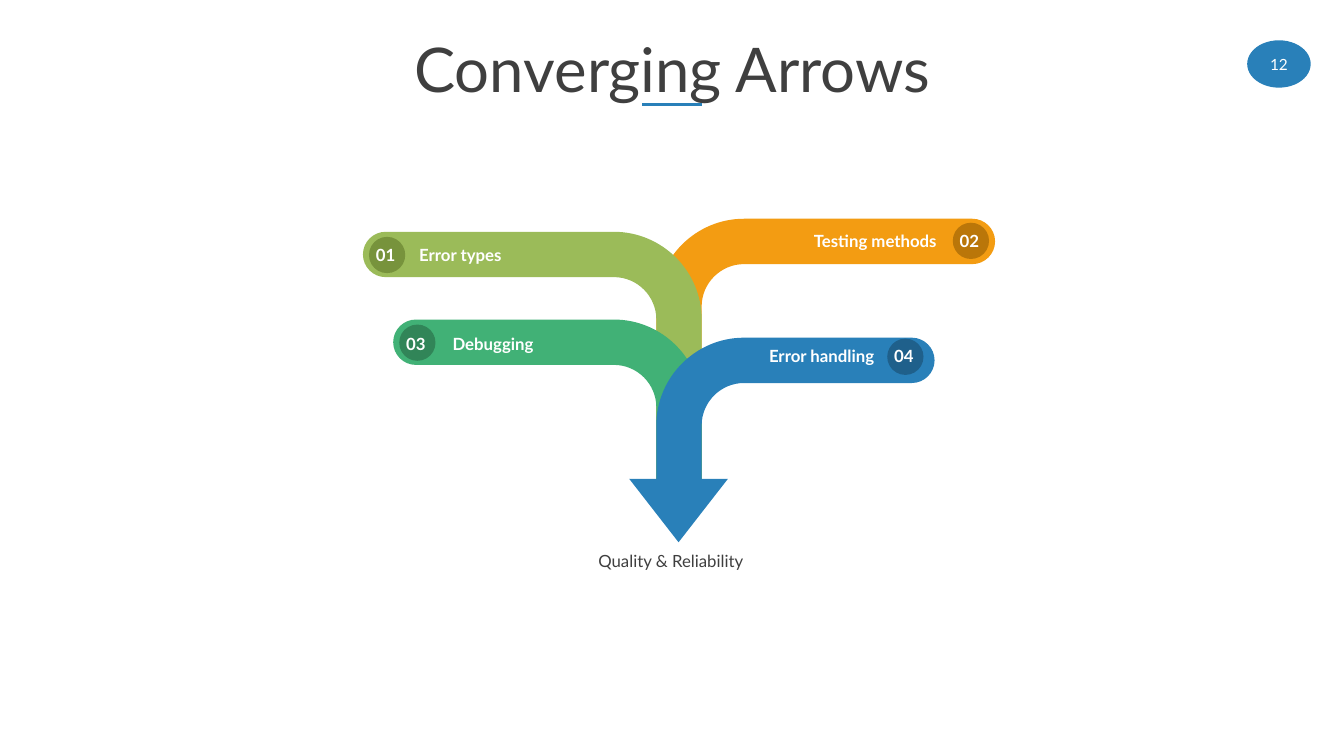
from lxml import etree
from pptx import Presentation
from pptx.dml.color import RGBColor
from pptx.enum import shapes, text
from pptx.oxml import ns
from pptx.util import Inches, Pt

WHITE = RGBColor(0xFF, 0xFF, 0xFF)
INK = RGBColor(0x3F, 0x3F, 0x3F)
BLUE, DARK_BLUE = RGBColor(0x29, 0x80, 0xB9), RGBColor(0x1F, 0x60, 0x8B)
ORANGE, DARK_ORANGE = RGBColor(0xF3, 0x9C, 0x12), RGBColor(0xBA, 0x76, 0x09)
OLIVE, DARK_OLIVE = RGBColor(0x9B, 0xBB, 0x59), RGBColor(0x77, 0x93, 0x3C)
GREEN, DARK_GREEN = RGBColor(0x41, 0xB1, 0x76), RGBColor(0x31, 0x85, 0x58)
LEFT, CENTER, RIGHT = text.PP_ALIGN.LEFT, text.PP_ALIGN.CENTER, text.PP_ALIGN.RIGHT

# Pipe geometry in inches: bend radii, end cap and foot of the stem
OUTER, INNER = 0.87, 0.42
CAP = (OUTER - INNER) / 2
LEFT_BEND, RIGHT_BEND = 6.09, 7.38
FOOT = 4.76
BADGE = 0.36


def quarter(start, corner, end):
    """Bezier points of a quarter circle that rounds off the corner."""
    def pull(point):
        return tuple(p + (c - p) * 0.55 for p, c in zip(point, corner))
    return [pull(start), pull(end), end]


def write(frame, words, size=12, color=WHITE, bold=False, align=CENTER,
          anchor=text.MSO_ANCHOR.TOP, spacing=None):
    frame.vertical_anchor = anchor
    para = frame.paragraphs[0]
    para.alignment = align
    para.line_spacing = spacing
    span = para.add_run()
    span.text = words
    span.font.name, span.font.size, span.font.bold = "Lato", Pt(size), bold
    span.font.color.rgb = color


class Canvas:
    def __init__(self, page, accent):
        self.page, self.accent = page, accent

    def paint(self, shape, color):
        shape.shadow.inherit = False
        shape.fill.solid()
        shape.fill.fore_color.rgb = color
        shape.line.fill.background()
        return shape

    def title(self, words, left, top, width, height):
        box = self.page.shapes.title
        box.left, box.top, box.width, box.height = map(Inches, (left, top, width, height))
        write(box.text_frame, words, size=44, color=INK, spacing=0.9,
              anchor=text.MSO_ANCHOR.MIDDLE)

    def shape(self, kind, left, top, width, height, color):
        return self.paint(self.page.shapes.add_shape(
            kind, *map(Inches, (left, top, width, height))), color)

    def label(self, words, left, top, width, height=0.3, wrap=False, **style):
        box = self.page.shapes.add_textbox(*map(Inches, (left, top, width, height)))
        box.text_frame.word_wrap = wrap
        write(box.text_frame, words, **style)

    def rule(self, left, right, y, weight):
        line = self.page.shapes.add_connector(
            shapes.MSO_CONNECTOR.STRAIGHT, *map(Inches, (left, y, right, y)))
        line.line.color.rgb, line.line.width = self.accent, Pt(weight)
        etree.SubElement(line._element.spPr, ns.qn("a:effectLst"))

    def outline(self, start, segments, color):
        """Closed outline; a segment of one point is a line, of three a curve."""
        builder = self.page.shapes.build_freeform(*map(Inches, start))
        builder.add_line_segments(
            [tuple(map(Inches, point)) for segment in segments for point in segment])
        shape = self.paint(builder.convert_to_shape(), color)
        steps = iter(list(shape._element.iter(ns.qn("a:lnTo"))))
        for segment in segments:
            nodes = [next(steps) for _ in segment]
            if len(nodes) == 3:
                curve = etree.Element(ns.qn("a:cubicBezTo"))
                nodes[0].addprevious(curve)
                for node in nodes:
                    curve.append(node[0])
                    node.getparent().remove(node)

    def pipe(self, tip, top, color):
        """Rounded bar from its tip to the shared stem, bending down to the foot."""
        side = 1 if tip < LEFT_BEND else -1
        bend = LEFT_BEND if side == 1 else RIGHT_BEND
        outer, inner, cap = bend + side * OUTER, bend + side * INNER, tip + side * CAP
        turn, middle, bottom = top + OUTER, top + CAP, top + 2 * CAP
        self.outline((cap, top), [
            [(bend, top)],
            quarter((bend, top), (outer, top), (outer, turn)),
            [(outer, FOOT)],
            [(inner, FOOT)],
            [(inner, turn)],
            quarter((inner, turn), (inner, bottom), (bend, bottom)),
            [(cap, bottom)],
            quarter((cap, bottom), (tip, bottom), (tip, middle)),
            quarter((tip, middle), (tip, top), (cap, top)),
        ], color)


deck = Presentation()
deck.slide_width, deck.slide_height = Inches(13.33), Inches(7.5)
canvas = Canvas(deck.slides.add_slide(deck.slide_layouts[5]), BLUE)

# Heading and page number
canvas.shape(shapes.MSO_SHAPE.OVAL, 12.37, 0.4, 0.63, 0.47, BLUE)
canvas.rule(6.37, 6.96, 1.04, 2)
canvas.title("Converging Arrows", 0.92, 0.32, 11.5, 0.79)
canvas.label("12", 12.04, 0.44, 1.29, 0.4, wrap=True, size=11,
             anchor=text.MSO_ANCHOR.MIDDLE)

# Pipes from back to front, then the arrowhead and outcome
for tip, top, color in [(9.87, 2.17, ORANGE), (3.6, 2.3, OLIVE),
                        (3.9, 3.17, GREEN), (9.27, 3.35, BLUE)]:
    canvas.pipe(tip, top, color)
head = canvas.shape(shapes.MSO_SHAPE.DOWN_ARROW, 6.24, 4.75, 0.98, 0.63, BLUE)
head.adjustments[0], head.adjustments[1] = 0.32, 1
canvas.label("Quality & Reliability", 5.17, 5.41, 2.97, wrap=True, color=INK)

# Badges and labels: number, name, badge corner, label left, top and width
branches = [
    ("03", "Debugging", (3.96, 3.22), (4.39, 3.26, 1.08), LEFT, DARK_GREEN),
    ("04", "Error handling", (8.8, 3.36), (7.43, 3.38, 1.34), RIGHT, DARK_BLUE),
    ("02", "Testing methods", (9.45, 2.21), (7.88, 2.24, 1.51), RIGHT, DARK_ORANGE),
    ("01", "Error types", (3.66, 2.35), (4.06, 2.38, 1.07), LEFT, DARK_OLIVE),
]
for number, name, (badge_x, badge_y), (left, top, width), align, dark in branches:
    canvas.shape(shapes.MSO_SHAPE.OVAL, badge_x, badge_y, BADGE, BADGE, dark)
    canvas.label(name, left, top, width, bold=True, align=align)
    canvas.label(number, badge_x - 0.03, top, 0.39, bold=True)

deck.save("out.pptx")
